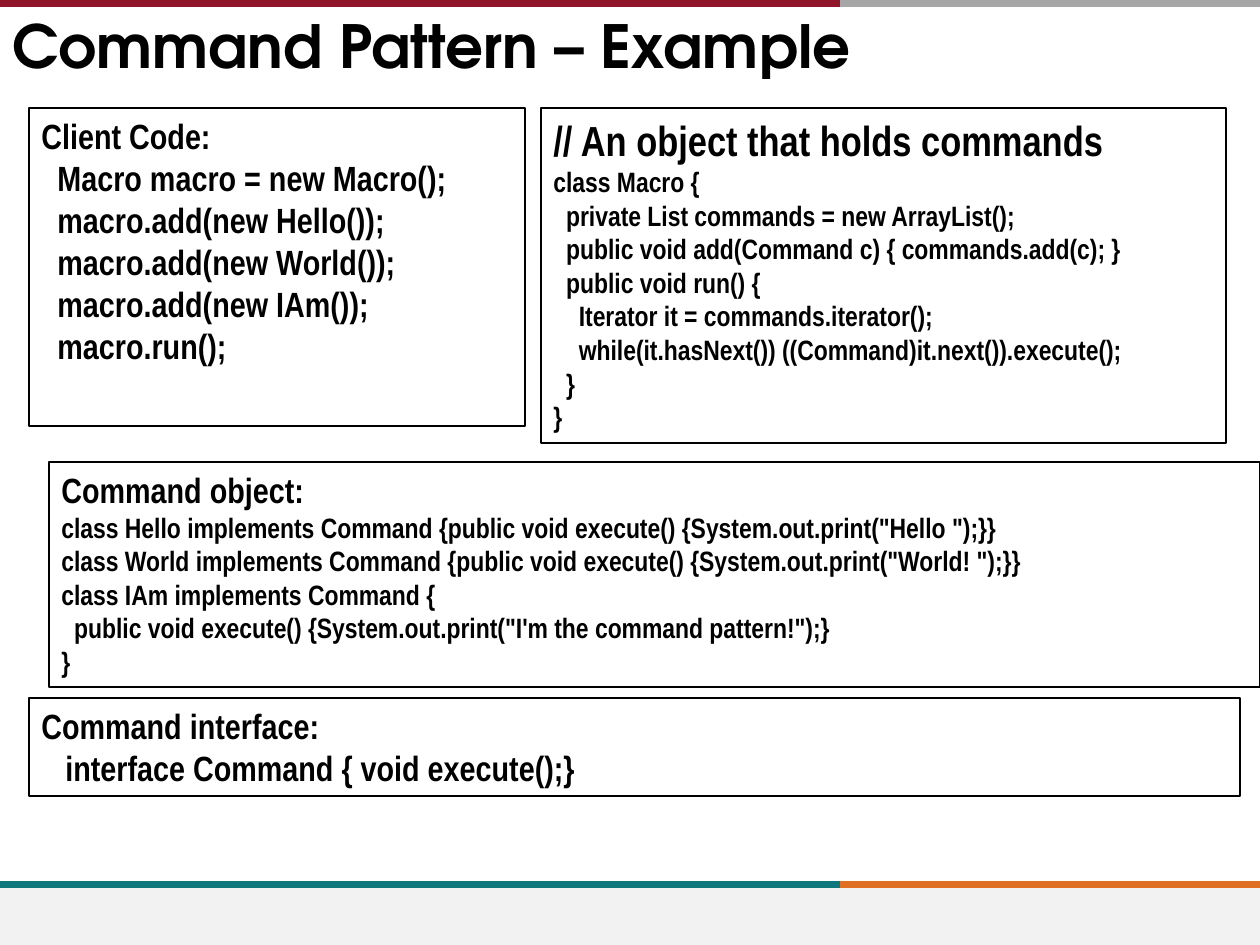
"""Build the Command Pattern example slide."""
import pptx
import pptx.dml.color
import pptx.enum.shapes
import pptx.enum.text
import pptx.oxml
import pptx.oxml.ns
import pptx.util

RGB = pptx.dml.color.RGBColor
BLACK = RGB(0x00, 0x00, 0x00)
ORANGE = RGB(0xDF, 0x70, 0x23)
TEAL = RGB(0x0F, 0x78, 0x7D)
GRAY = RGB(0xA6, 0xA6, 0xA6)
MAROON = RGB(0x90, 0x15, 0x2A)
FOOTER = RGB(0xF2, 0xF2, 0xF2)

PX = 914400 // 126
WIDTH, HEIGHT, SPLIT = 1260, 945, 840
TITLE_FONT, CODE_FONT = "TeX Gyre Adventor", "Arial Narrow"

TITLE = "Command Pattern – Example"
RULES = [
    (SPLIT, WIDTH, 885, ORANGE),
    (0, SPLIT, 885, TEAL),
    (SPLIT, WIDTH, 4, GRAY),
    (0, SPLIT, 4, MAROON),
]
CLIENT = """Client Code:
  Macro macro = new Macro();
  macro.add(new Hello());
  macro.add(new World());
  macro.add(new IAm());
  macro.run();"""
MACRO = """class Macro {
  private List commands = new ArrayList();
  public void add(Command c) { commands.add(c); }
  public void run() {
    Iterator it = commands.iterator();
    while(it.hasNext()) ((Command)it.next()).execute();
  }
}"""
OBJECTS = """class World implements Command {public void execute() {System.out.print("World! ");}}
class IAm implements Command {
  public void execute() {System.out.print("I'm the command pattern!");}
}"""
HELLO = 'class Hello implements Command {public void execute() {System.out.print("Hello ");}}'
INTERFACE = """Command interface:
   interface Command { void execute();}"""


def code_lines(code):
    return [[(line, 16)] for line in code.split("\n")]


BOXES = [
    ((29, 108, 496, 318), [[(CLIENT, 20)]]),
    ((541, 108, 685, 335),
     [[("// An object that holds commands", 24)]] + code_lines(MACRO)),
    ((49, 462, 1211, 225),
     [[("Command object:\n", 20), (HELLO, 16)]] + code_lines(OBJECTS)),
    ((29, 698, 1211, 98), [[(INTERFACE, 20)]]),
]


def px(*values):
    return [pptx.util.Emu(v * PX) for v in values]


def add_text(p, text, size, font=CODE_FONT, color=BLACK, bold=True):
    for i, line in enumerate(text.split("\n")):
        if i:
            p.add_line_break()
        if line:
            r = p.add_run()
            r.text = line
            r.font.size = pptx.util.Pt(size)
            r.font.name = font
            r.font.bold = bold
            r.font.color.rgb = color


def add_rule(s, x1, x2, y, color):
    line = s.shapes.add_connector(
        pptx.enum.shapes.MSO_CONNECTOR.STRAIGHT, *px(x1, y, x2, y))
    line.line.color.rgb = color
    line.line.width = pptx.util.Pt(4)
    line._element.spPr.append(pptx.oxml.parse_xml(
        f"<a:effectLst {pptx.oxml.ns.nsdecls('a')}/>"))


def add_rect(s, at):
    sp = s.shapes.add_shape(pptx.enum.shapes.MSO_SHAPE.RECTANGLE, *px(*at))
    sp.shadow.inherit = False
    return sp


def add_box(s, at, paragraphs):
    sp = add_rect(s, at)
    sp.fill.background()
    sp.line.color.rgb = BLACK
    sp.line.width = pptx.util.Pt(0.75)
    tf = sp.text_frame
    tf.word_wrap = True
    tf.vertical_anchor = pptx.enum.text.MSO_ANCHOR.TOP
    for i, runs in enumerate(paragraphs):
        p = tf.add_paragraph() if i else tf.paragraphs[0]
        p.alignment = pptx.enum.text.PP_ALIGN.LEFT
        for text, size in runs:
            add_text(p, text, size)


def main():
    prs = pptx.Presentation()
    prs.slide_width, prs.slide_height = px(WIDTH, HEIGHT)
    s = prs.slides.add_slide(prs.slide_layouts[6])
    for rule in RULES:
        add_rule(s, *rule)
    footer = add_rect(s, (0, 888, WIDTH, 57))
    footer.fill.solid()
    footer.fill.fore_color.rgb = FOOTER
    footer.line.fill.background()
    tf = s.shapes.add_textbox(*px(0, 0, WIDTH, 98)).text_frame
    tf.word_wrap = True
    tf.vertical_anchor = pptx.enum.text.MSO_ANCHOR.MIDDLE
    p = tf.paragraphs[0]
    p.line_spacing = 0.9
    add_text(p, TITLE, 34, font=TITLE_FONT)
    for at, paragraphs in BOXES:
        add_box(s, at, paragraphs)
    prs.save("out.pptx")


if __name__ == "__main__":
    main()
